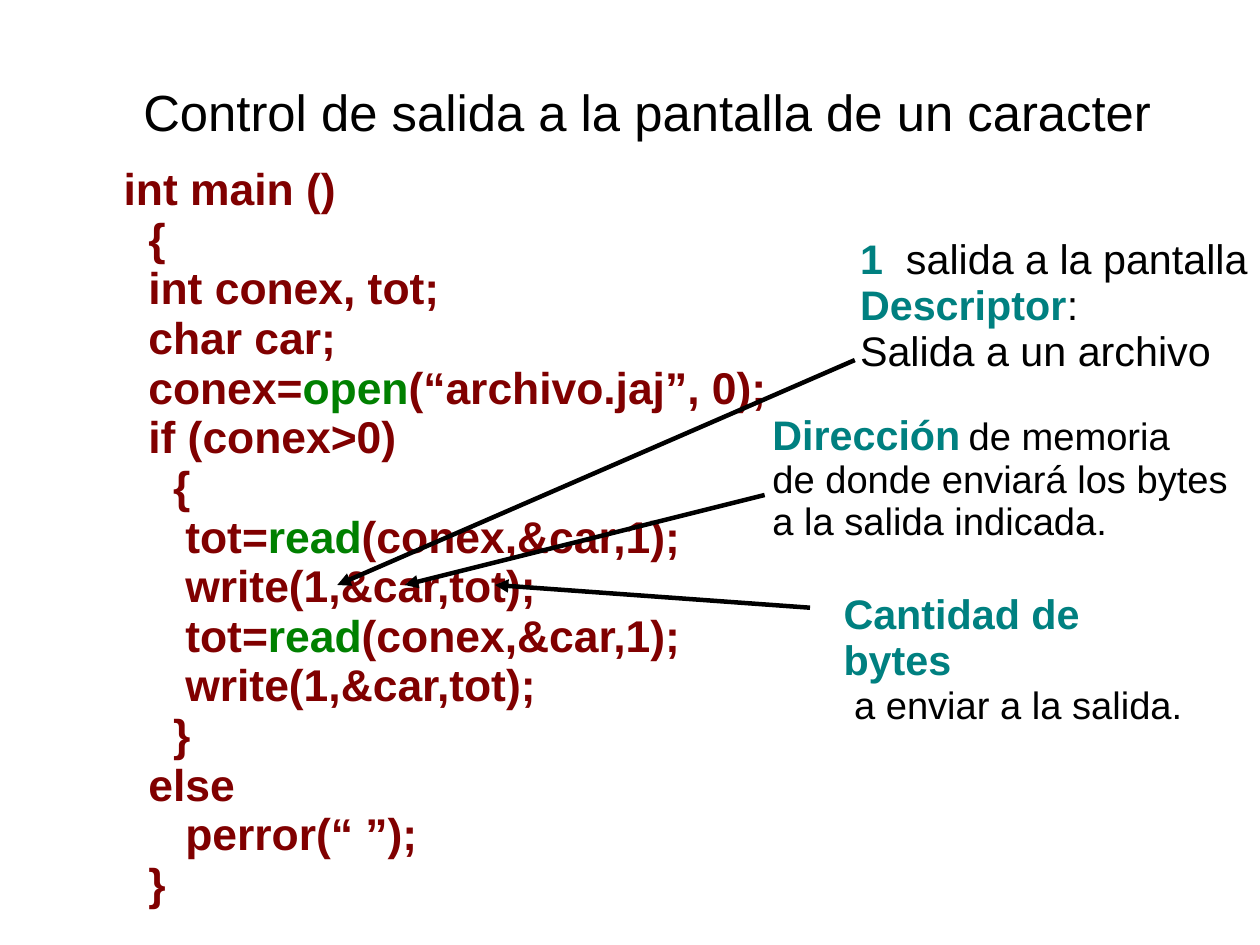
"""Build the slide that explains the write call, with three pointed notes."""
from pptx import Presentation
from pptx import util as u
from pptx.dml.color import RGBColor
from pptx.enum import shapes, text
from pptx.oxml import parse_xml
from pptx.oxml.ns import nsdecls

BLACK = RGBColor(0, 0, 0)
MAROON = RGBColor(0x80, 0, 0)
GREEN = RGBColor(0, 0x80, 0)
TEAL = RGBColor(0, 0x80, 0x80)

HEAD = (32, BLACK, False)
CODE = (28, MAROON, True)
CALL = (28, GREEN, True)
TERM = (26, TEAL, True)
LARGE = (26, BLACK, False)
PLAIN = (24, BLACK, False)
THIN = (18, BLACK, False)

STEP = 7.78
READ = (5, [("tot=", CODE), ("read", CALL), ("(conex,&car,1);", CODE)])
WRITE = (5, [("write(1,&car,tot);", CODE)])
LINES = [
    (0, [("int main ()", CODE)]),
    (2, [("{", CODE)]),
    (2, [("int conex, tot;", CODE)]),
    (2, [("char car;", CODE)]),
    (2, [("conex=", CODE), ("open", CALL), ("(“archivo.jaj”, 0);", CODE)]),
    (2, [("if (conex>0)", CODE)]),
    (4, [("{", CODE)]),
    READ, WRITE, READ, WRITE,
    (4, [("}", CODE)]),
    (2, [("else", CODE)]),
    (5, [("perror(“ ”);", CODE)]),
    (2, [("}", CODE)]),
]
SCREEN = [
    (0, [("1  ", TERM), ("salida a la pantalla", LARGE)]),
    (0, [("Descriptor", TERM), (":", LARGE)]),
    (0, [("Salida a un archivo", LARGE)]),
]
MEMORY = [
    (0, [("Dirección", TERM), (" ", THIN), ("de memoria", PLAIN)]),
    (0, [("de donde enviará los bytes", PLAIN)]),
    (0, [("a la salida indicada.", PLAIN)]),
]
COUNT = [
    (0, [("Cantidad de bytes", TERM)]),
    (0, [(" a enviar a la salida.", PLAIN)]),
]


def add_text(slide, box, lines, top=5, wrap=True):
    """Add a text box of indented lines made of styled runs."""
    frame = slide.shapes.add_textbox(*map(u.Pt, box)).text_frame
    frame.word_wrap = wrap
    frame.margin_top = u.Pt(top)
    for i, (depth, parts) in enumerate(lines):
        para = frame.add_paragraph() if i else frame.paragraphs[0]
        para.line_spacing = 0.93
        if depth:
            para._p.get_or_add_pPr().set("marL", str(u.Pt(depth * STEP)))
        for words, (size, color, bold) in parts:
            run = para.add_run()
            run.text = words
            run.font.name = "Arial"
            run.font.size = u.Pt(size)
            run.font.bold = bold
            run.font.color.rgb = color
    return frame


def add_title(slide, words):
    """Add the centred title."""
    frame = add_text(slide, (51, 14.5, 714.5, 113), [(0, [(words, HEAD)])], 2)
    frame.margin_left = frame.margin_right = frame.margin_bottom = 0
    frame.vertical_anchor = text.MSO_ANCHOR.MIDDLE
    frame.paragraphs[0].alignment = text.PP_ALIGN.CENTER


def add_arrow(slide, ends):
    """Add a black arrow from a note to an argument in the code."""
    line = slide.shapes.add_connector(
        shapes.MSO_CONNECTOR.STRAIGHT, *map(u.Pt, ends))
    line.line.color.rgb = BLACK
    line.line.width = u.Pt(2.83)
    line.line._get_or_add_ln().append(
        parse_xml(f'<a:tailEnd {nsdecls("a")} type="triangle"/>'))
    line._element.spPr.append(parse_xml(f'<a:effectLst {nsdecls("a")}/>'))


def main():
    """Build and save the slide."""
    deck = Presentation()
    deck.slide_width, deck.slide_height = u.Pt(793.75), u.Pt(595.25)
    slide = deck.slides.add_slide(deck.slide_layouts[6])
    add_title(slide, "Control de salida a la pantalla de un caracter")
    add_text(slide, (70.8, 98.5, 652.5, 486), LINES, 6)
    notes = [
        ((538.5, 226.8, 212.5, 368.5), (534.7, 145, 259, 96), SCREEN, False),
        ((481.7, 311.8, 255, 368.5), (479.5, 255.3, 314, 104.5), MEMORY, True),
        ((510.3, 382.8, 311.8, 368.5), (524.3, 368.5, 238.3, 63), COUNT, False),
    ]
    for ends, box, lines, wrap in notes:
        add_arrow(slide, ends)
        add_text(slide, box, lines, wrap=wrap)
    deck.save("out.pptx")


if __name__ == "__main__":
    main()
